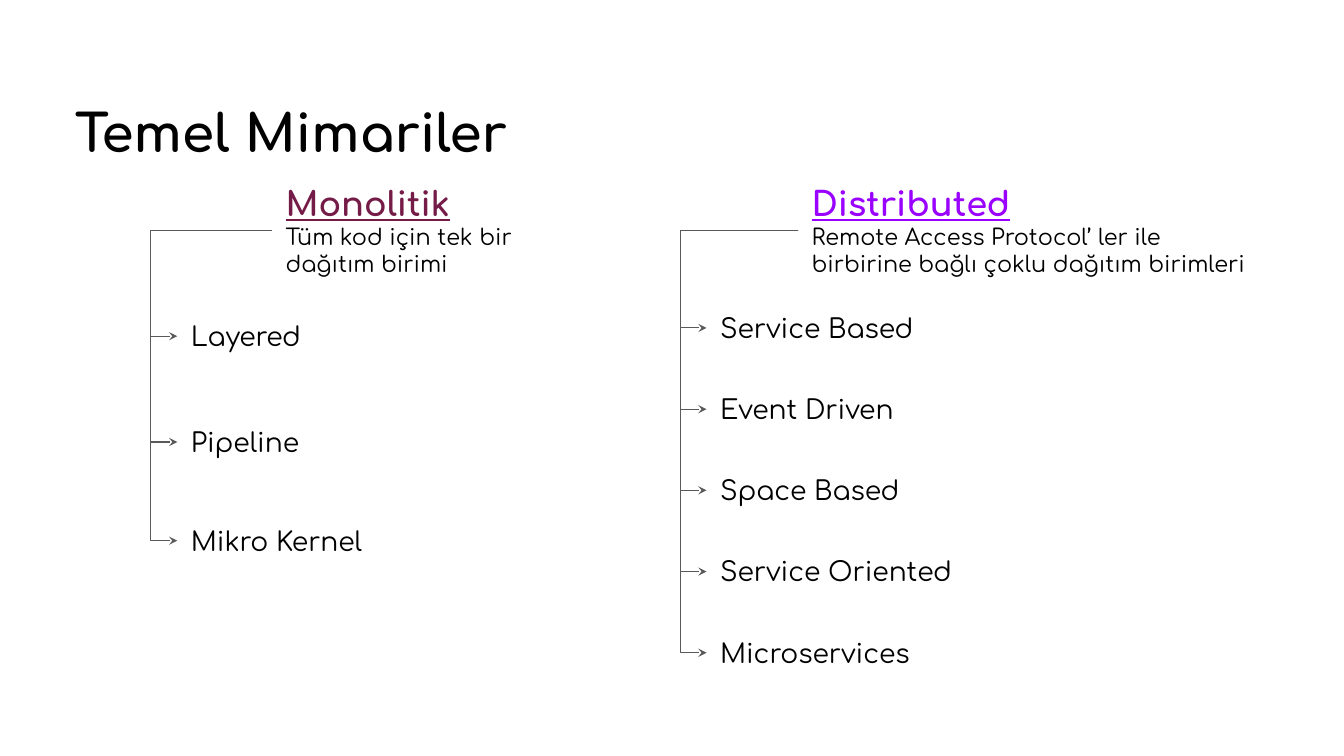
"""Builds a slide of two architecture families, each branching to its styles."""
from lxml import etree
from pptx import Presentation
from pptx.dml.color import RGBColor
from pptx.enum import shapes, text
from pptx.oxml import ns
from pptx.util import Pt

FONT = "Comfortaa"
BLACK, GREY = "000000", "595959"
TITLE = "Temel Mimariler"
FAMILIES = [
    {"name": "Monolitik", "color": "741B47",
     "note": "Tüm kod için tek bir dağıtım birimi",
     "left": 194.4, "width": 195.8, "item_left": 126.7,
     "items": [("Layered", 218.9, 109.4), ("Pipeline", 294.5, 109.4),
               ("Mikro Kernel", 365, 174.2)]},
    {"name": "Distributed", "color": "9900FF",
     "note": "Remote Access Protocol’ ler ile birbirine bağlı çoklu dağıtım birimleri",
     "left": 570.2, "width": 342, "item_left": 504.7,
     "items": [(name, 213 + 58 * i, 195.8) for i, name in enumerate(
         ["Service Based", "Event Driven", "Space Based",
          "Service Oriented", "Microservices"])]},
]
HEAD_TOP, HEAD_HEIGHT, ITEM_HEIGHT = 121, 87.1, 42.5
INSET, TRUNK_GAP = 9.6, 18.9


def rgb(value):
    return RGBColor.from_string(value)


def add_run(p, content, size=19, color=BLACK, bold=False, underline=False):
    r = p.add_run()
    r.text = content
    f = r.font
    f.name, f.size, f.bold, f.underline = FONT, Pt(size), bold, underline
    f.color.rgb = rgb(color)


def add_box(s, left, top, width, height, grow=True):
    sp = s.shapes.add_textbox(Pt(left), Pt(top), Pt(width), Pt(height))
    tf = sp.text_frame
    tf.word_wrap = True
    tf.auto_size = (text.MSO_AUTO_SIZE.SHAPE_TO_FIT_TEXT if grow
                    else text.MSO_AUTO_SIZE.NONE)
    tf.margin_left = tf.margin_right = Pt(INSET)
    tf.margin_top = tf.margin_bottom = Pt(INSET)
    return sp, tf.paragraphs[0]


def add_branch(s, head, item):
    c = s.shapes.add_connector(shapes.MSO_CONNECTOR.ELBOW, 0, 0, 0, 0)
    c.begin_connect(head, 1)
    c.end_connect(item, 1)
    c.line.color.rgb = rgb(GREY)
    c.line.width = Pt(0.75)
    etree.SubElement(c.line._get_or_add_ln(), ns.qn("a:tailEnd"), type="stealth")
    pr = c._element.spPr
    etree.SubElement(pr, ns.qn("a:effectLst"))
    bend = 1 + Pt(TRUNK_GAP) / (head.left - item.left)
    etree.SubElement(pr.find(".//" + ns.qn("a:avLst")), ns.qn("a:gd"),
                     name="adj1", fmla=f"val {round(bend * 100000)}")


def add_family(s, family):
    head, p = add_box(s, family["left"], HEAD_TOP, family["width"], HEAD_HEIGHT)
    add_run(p, family["name"], size=24, color=family["color"],
            bold=True, underline=True)
    p.add_line_break()
    add_run(p, family["note"], size=16)
    for name, top, width in family["items"]:
        item, p = add_box(s, family["item_left"], top, width, ITEM_HEIGHT)
        add_run(p, name)
        add_branch(s, head, item)


def main():
    prs = Presentation()
    prs.slide_width, prs.slide_height = Pt(960), Pt(540)
    s = prs.slides.add_slide(prs.slide_layouts[6])
    _, p = add_box(s, 43.9, 62.6, 1193, 79.9, grow=False)
    add_run(p, TITLE, size=37, bold=True)
    for family in FAMILIES:
        add_family(s, family)
    prs.save("out.pptx")


if __name__ == "__main__":
    main()
